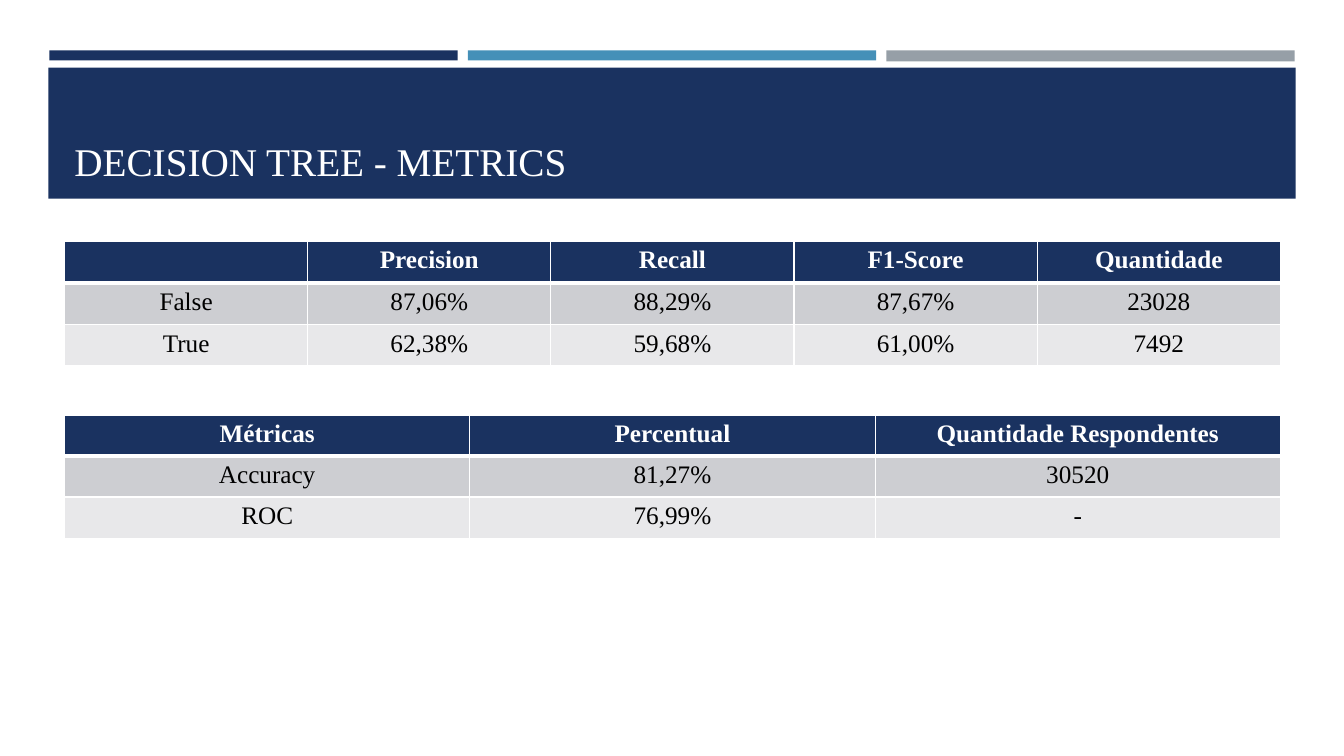
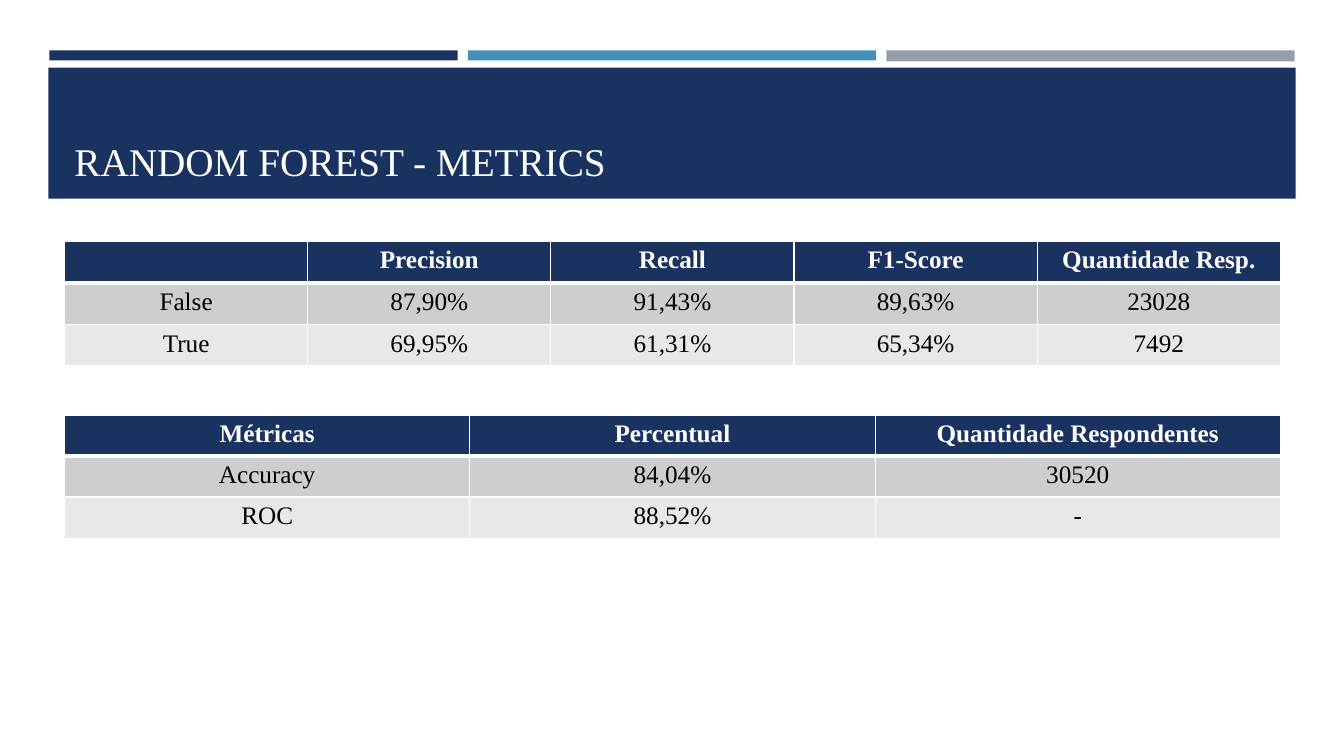
import dataclasses
from typing import Any

import lxml.etree
import pptx
import pptx.dml.color
import pptx.enum.shapes
import pptx.enum.text
import pptx.oxml.ns
import pptx.util

SCALE = 9144
NAVY, BLUE, GRAY = "1A3260", "4590B8", "969FA7"
WHITE, BLACK = "FFFFFF", "000000"
ROW_FILLS = [NAVY, "CDCED2", "E8E8EA"]

FACE = "Times New Roman"
TITLE = {"name": FACE, "size": pptx.util.Pt(28), "bold": False}
HEAD = {"name": FACE, "size": pptx.util.Pt(18), "bold": True}
BODY = HEAD | {"bold": False}
FRAME = {"word_wrap": True, "vertical_anchor": pptx.enum.text.MSO_ANCHOR.BOTTOM}
CENTER = {"alignment": pptx.enum.text.PP_ALIGN.CENTER}


@dataclasses.dataclass(frozen=True)
class Box:
    left: int
    top: int
    width: int
    height: int

    def place(self) -> list[int]:
        return [px(side) for side in dataclasses.astuple(self)]


@dataclasses.dataclass(frozen=True)
class Band:
    box: Box
    fill: str


@dataclasses.dataclass(frozen=True)
class Grid:
    top: int
    highs: list[int]
    rows: list[list[str]]


@dataclasses.dataclass(frozen=True)
class Page:
    title: str
    count: str
    scores: list[list[str]]
    rates: list[str]

    def grids(self) -> list[Grid]:
        scores = [
            ["", "Precision", "Recall", "F1-Score", self.count],
            ["False", *self.scores[0], "23028"],
            ["True", *self.scores[1], "7492"],
        ]
        totals = [
            ["Métricas", "Percentual", "Quantidade Respondentes"],
            ["Accuracy", self.rates[0], "30520"],
            ["ROC", self.rates[1], "-"],
        ]
        return [Grid(239, [42, 41, 41], scores), Grid(412, [39, 41, 41], totals)]


BANDS = [
    Band(Box(49 + 415 * i, 50, 405, high), fill)
    for i, (fill, high) in enumerate([(NAVY, 10), (BLUE, 10), (GRAY, 11)])
] + [Band(Box(48, 67, 1237, 130), NAVY)]

PAGES = [
    Page(
        "DECISION TREE - METRICS",
        "Quantidade",
        [["87,06%", "88,29%", "87,67%"], ["62,38%", "59,68%", "61,00%"]],
        ["81,27%", "76,99%"],
    ),
    Page(
        "RANDOM FOREST - METRICS",
        "Quantidade Resp.",
        [["87,90%", "91,43%", "89,63%"], ["69,95%", "61,31%", "65,34%"]],
        ["84,04%", "88,52%"],
    ),
]


def px(count: int) -> int:
    return pptx.util.Emu(count * SCALE)


def tint(code: str) -> pptx.dml.color.RGBColor:
    return pptx.dml.color.RGBColor.from_string(code)


def apply(target: Any, values: dict[str, Any]) -> None:
    for name, value in values.items():
        setattr(target, name, value)


def paint(fill: Any, code: str) -> None:
    fill.solid()
    fill.fore_color.rgb = tint(code)


def write(para: Any, text: str, style: dict[str, Any], code: str) -> None:
    run = para.add_run()
    run.text = text
    apply(run.font, style)
    run.font.color.rgb = tint(code)


def add_band(slide: Any, band: Band) -> None:
    shape = slide.shapes.add_shape(
        pptx.enum.shapes.MSO_SHAPE.RECTANGLE, *band.box.place()
    )
    shape.shadow.inherit = False
    paint(shape.fill, band.fill)
    shape.line.fill.background()


def add_title(slide: Any, text: str) -> None:
    frame = slide.shapes.add_textbox(*Box(64, 77, 1206, 111).place()).text_frame
    apply(frame, FRAME)
    write(frame.paragraphs[0], text, TITLE, WHITE)


def edge(cell: Any, sides: dict[str, int]) -> None:
    props = cell._tc.get_or_add_tcPr()
    qn = pptx.oxml.ns.qn
    for side, points in sides.items():
        line = lxml.etree.SubElement(
            props, qn(f"a:ln{side}"), w=str(pptx.util.Pt(points))
        )
        fill = lxml.etree.SubElement(line, qn("a:solidFill"))
        lxml.etree.SubElement(fill, qn("a:srgbClr"), val=WHITE)


def add_grid(slide: Any, grid: Grid) -> None:
    box = Box(64, grid.top, 1206, sum(grid.highs))
    table = slide.shapes.add_table(
        len(grid.rows), len(grid.rows[0]), *box.place()
    ).table
    for i, (texts, high, fill) in enumerate(zip(grid.rows, grid.highs, ROW_FILLS)):
        table.rows[i].height = px(high)
        style, code = (BODY, BLACK) if i else (HEAD, WHITE)
        sides = {"L": 1, "R": 1, "T": 3 if i == 1 else 1, "B": 1 if i else 3}
        for cell, text in zip(table.rows[i].cells, texts):
            edge(cell, sides)
            paint(cell.fill, fill)
            para = cell.text_frame.paragraphs[0]
            apply(para, CENTER)
            if text:
                write(para, text, style, code)


def add_page(deck: Any, page: Page) -> None:
    slide = deck.slides.add_slide(deck.slide_layouts[6])
    for band in BANDS:
        add_band(slide, band)
    add_title(slide, page.title)
    for grid in page.grids():
        add_grid(slide, grid)


def main() -> None:
    deck = pptx.Presentation()
    apply(deck, {"slide_width": px(1333), "slide_height": px(750)})
    for page in PAGES:
        add_page(deck, page)
    deck.save("out.pptx")


if __name__ == "__main__":
    main()
